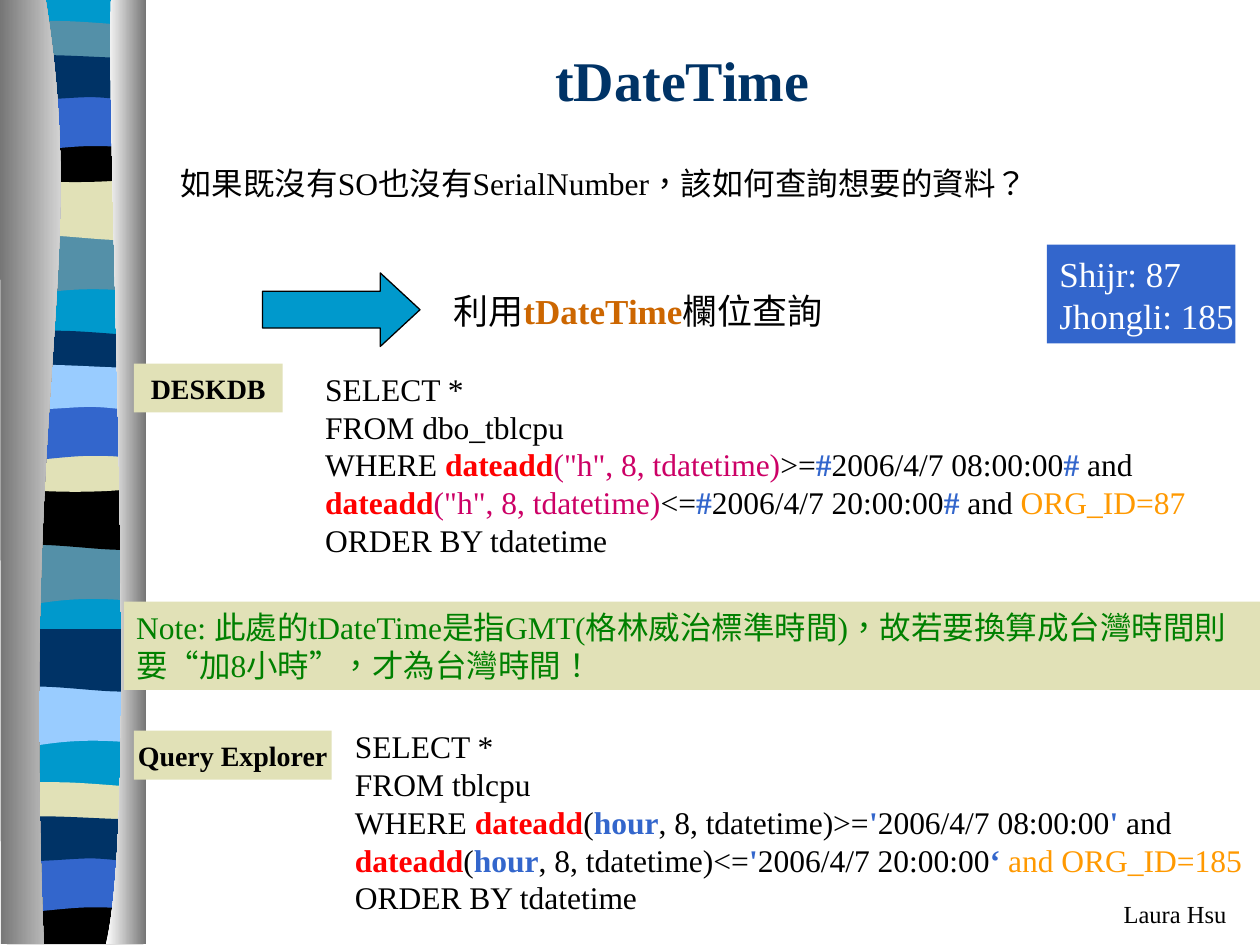
from typing import NamedTuple, Sequence

from lxml.etree import SubElement
from pptx import Presentation
from pptx.dml.color import RGBColor
from pptx.enum.lang import MSO_LANGUAGE_ID as Language
from pptx.enum.shapes import MSO_SHAPE as Preset
from pptx.enum.text import MSO_ANCHOR as Anchor, PP_ALIGN as Align
from pptx.oxml.ns import qn
from pptx.util import Pt

FONT = "Times New Roman"
BLACK = RGBColor(0x00, 0x00, 0x00)
WHITE = RGBColor(0xFF, 0xFF, 0xFF)
GREY = RGBColor(0x76, 0x76, 0x76)
CYAN = RGBColor(0x00, 0x99, 0xCC)
TEAL = RGBColor(0x54, 0x90, 0xA8)
NAVY = RGBColor(0x00, 0x33, 0x66)
BLUE = RGBColor(0x33, 0x66, 0xCC)
SKY = RGBColor(0x99, 0xCC, 0xFF)
SAND = RGBColor(0xE1, 0xE1, 0xB7)
RED = RGBColor(0xFF, 0x00, 0x00)
PINK = RGBColor(0xCC, 0x00, 0x66)
ORANGE = RGBColor(0xFF, 0x99, 0x00)
BROWN = RGBColor(0xCC, 0x66, 0x00)
GREEN = RGBColor(0x00, 0x80, 0x00)

SLIDE_WIDTH, SLIDE_HEIGHT = 720, 540
RIBBON_LEFT = 4

# An outline is a list of steps: (x, y) is a corner, six numbers are a cubic curve.
Outline = Sequence[tuple[float, ...]]


class Band(NamedTuple):
    """A ribbon stripe: an outline moved down by a drop."""
    colour: RGBColor
    outline: Outline
    drop: float = 0


class Run(NamedTuple):
    text: str
    colour: RGBColor = BLACK
    bold: bool = False


class Box(NamedTuple):
    left: float
    top: float
    width: float
    height: float
    size: float
    lines: Sequence[Sequence[Run]]
    fill: RGBColor | None = None
    align: Align = Align.LEFT
    anchor: Anchor = Anchor.TOP
    wrap: bool = True


RIBBON = [(78, -0.5), (78, 538), (0, 538), (0, -0.5)]
ROLL = [(78, 133), (78, 167), (24, 161, 13, 173, 0, 167), (0, 133)]
SWAY = [(78, 101.5), (78, 135.5), (65, 141, 24, 131, 0, 135.5), (0, 101.5)]
DIP = [(78, 15), (78, 32.5), (65, 35.5, 13, 35.5, 0, 32.5), (0, 15),
       (4.5, 11.5, 16.5, 12, 29.5, 12), (42.5, 12, 68, 14.5, 78, 15)]
BELLY = [(78, 78), (78, 101), (65, 105, 13, 105, 0, 101), (0, 78),
         (47.5, 81.5, 61, 78, 78, 78)]
ARCH = [(78, 53), (78, 87), (66, 83.5, 61, 83.5, 47.5, 83.5),
        (34.5, 83.5, 11.5, 87, 0, 87), (0, 53)]
RIPPLE = [(78, 33), (78, 55.5), (73, 59, 61, 55.5, 47.5, 55.5),
          (34.5, 55.5, 8, 59, 0, 55.5), (0, 33),
          (11, 29.5, 52.5, 33, 65.5, 33), (79, 33, 75, 33, 78, 33)]
FOOT = [(78, 78), (78, 104.5), (0, 104.5), (0, 78), (47.5, 81.5, 61, 78, 78, 78)]

CYCLE = (ROLL, SWAY, DIP, BELLY, ARCH, RIPPLE)
SECOND, THIRD, LAST = 177, 258, 435
BANDS = [Band(CYAN, RIBBON)]
BANDS += map(Band, (TEAL, SAND, TEAL, BLACK, BLUE, NAVY), CYCLE)
BANDS += [Band(colour, outline, SECOND) for colour, outline
          in zip((TEAL, BLACK, NAVY, SAND, BLUE, SKY), CYCLE)]
BANDS += [Band(SKY, ROLL, THIRD), Band(NAVY, SWAY, THIRD), Band(SAND, DIP, LAST),
          Band(BLACK, FOOT, LAST), Band(BLUE, ARCH, LAST), Band(NAVY, RIPPLE, LAST)]

LEFT_RAIL = [(26, -0.5), (51, 155.5, 12, 213, 25, 539.5), (0.5, 539.5), (0, -0.5)]
RIGHT_RAIL = [(63.5, -0.5), (60.5, 90, 80, 465, 60.5, 539.5), (83.5, 539.5), (83.5, 0)]


def add_outline(slide, outline: Outline, dx: float = 0, dy: float = 0):
    """Draw a closed borderless outline, to be filled by the caller."""
    points = [(Pt(step[i] + dx), Pt(step[i + 1] + dy))
              for step in outline for i in range(0, len(step), 2)]
    builder = slide.shapes.build_freeform(*points[0])
    builder.add_line_segments(points[1:], close=True)
    shape = builder.convert_to_shape()
    shape.shadow.inherit = False
    shape.line.fill.background()

    # Join the three points of each curve step into one cubic segment.
    segments = iter(shape.element.findall(".//" + qn("a:lnTo")))
    for step in outline[1:]:
        first = next(segments)
        if len(step) == 6:
            curve = first.makeelement(qn("a:cubicBezTo"))
            first.addprevious(curve)
            for segment in (first, next(segments), next(segments)):
                SubElement(curve, qn("a:pt"), dict(segment[0].attrib))
                segment.getparent().remove(segment)
    return shape


def add_band(slide, band: Band) -> None:
    stripe = add_outline(slide, band.outline, RIBBON_LEFT, band.drop)
    stripe.fill.solid()
    stripe.fill.fore_color.rgb = band.colour


def add_rail(slide, outline: Outline, colours: tuple[RGBColor, RGBColor]) -> None:
    """Draw a side rail, shaded from left to right."""
    rail = add_outline(slide, outline)
    rail.fill.gradient()
    rail.fill.gradient_angle = 0
    for stop, colour in zip(rail.fill.gradient_stops, colours):
        stop.color.rgb = colour


def add_box(slide, box: Box) -> None:
    place = [Pt(v) for v in box[:4]]
    if box.fill is None:
        shape = slide.shapes.add_textbox(*place)
    else:
        shape = slide.shapes.add_shape(Preset.RECTANGLE, *place)
        shape.shadow.inherit = False
        shape.fill.solid()
        shape.fill.fore_color.rgb = box.fill
        shape.line.fill.background()
    frame = shape.text_frame
    frame.word_wrap = box.wrap
    frame.vertical_anchor = box.anchor
    for i, line in enumerate(box.lines):
        paragraph = frame.add_paragraph() if i else frame.paragraphs[0]
        paragraph.alignment = box.align
        paragraph.font.name = FONT
        paragraph.font.size = Pt(box.size)
        for text, colour, bold in line:
            run = paragraph.add_run()
            run.text = text
            run.font.color.rgb = colour
            run.font.bold = bold
            if not text.isascii():
                run.font.language_id = Language.TRADITIONAL_CHINESE


def label(top: float, width: float, text: str) -> Box:
    return Box(76.5, top, width, 28, 16, [[Run(text, bold=True)]], SAND,
               Align.CENTER, Anchor.MIDDLE, wrap=False)


DATEADD = Run("dateadd", RED, True)
HASH = Run("#", BLUE, True)
QUOTE = Run("'", BLUE, True)
HOUR = Run("hour", BLUE, True)
SHIFT = Run('("h", 8, tdatetime)', PINK)
START, END = Run("2006/4/7 08:00:00"), Run("2006/4/7 20:00:00")
SELECT, ORDER = [Run("SELECT *")], [Run("ORDER BY tdatetime")]

DESKTOP_QUERY = [
    SELECT, [Run("FROM dbo_tblcpu")],
    [Run("WHERE "), DATEADD, SHIFT, Run(">="), HASH, START, HASH, Run(" and "),
     DATEADD, SHIFT, Run("<="), HASH, END, Run("# ", BLUE, True), Run("and "),
     Run("ORG_ID=87", ORANGE)],
    ORDER]
SERVER_QUERY = [
    SELECT, [Run("FROM tblcpu")],
    [Run("WHERE "), DATEADD, Run("("), HOUR, Run(", 8, tdatetime)>="), QUOTE, START,
     QUOTE, Run(" and "), DATEADD, Run("("), HOUR, Run(", 8, tdatetime)<="), QUOTE,
     END, Run("‘ ", BLUE, True), Run("and ORG_ID=185", ORANGE)],
    ORDER]
NOTE = ("Note: 此處的tDateTime是指GMT(格林威治標準時間)，故若要換算成台灣時間"
        "則要“加8小時”，才為台灣時間！")
QUESTION = "如果既沒有SO也沒有SerialNumber，該如何查詢想要的資料？"

BOXES = (
    Box(540, 510, 168, 24, 14, [[Run("Laura Hsu")]], align=Align.RIGHT),
    Box(96, 90, 588, 29, 18, [[Run(QUESTION)]]),
    Box(252, 162, 354, 31.5, 20,
        [[Run("利用"), Run("tDateTime", BROWN, True), Run("欄位查詢")]]),
    Box(178.75, 207.75, 515.5, 115, 18, DESKTOP_QUERY),
    Box(70.75, 343.75, 649.25, 50.5, 18, [[Run(NOTE, GREEN)]], SAND),
    Box(195.75, 412, 524.25, 115, 18, SERVER_QUERY),
    label(207.75, 85, "DESKDB"),
    label(417.5, 113, "Query Explorer"),
    Box(598.25, 139.75, 107.75, 56.5, 20,
        [[Run("Shijr: 87", WHITE)], [Run("Jhongli: 185", WHITE)]],
        BLUE, anchor=Anchor.MIDDLE, wrap=False),
)


def main() -> None:
    deck = Presentation()
    deck.slide_width, deck.slide_height = Pt(SLIDE_WIDTH), Pt(SLIDE_HEIGHT)
    slide = deck.slides.add_slide(deck.slide_layouts[5])

    for band in BANDS:
        add_band(slide, band)
    add_rail(slide, LEFT_RAIL, (GREY, WHITE))
    add_rail(slide, RIGHT_RAIL, (WHITE, GREY))

    title = slide.shapes.title
    title.left, title.top, title.width, title.height = Pt(84), Pt(18), Pt(612), Pt(54)
    title.text_frame.text = "tDateTime"
    title.text_frame.vertical_anchor = Anchor.MIDDLE
    heading = title.text_frame.paragraphs[0]
    heading.alignment = Align.CENTER
    heading.font.name, heading.font.size, heading.font.bold = FONT, Pt(32), True
    heading.font.color.rgb = NAVY

    arrow = slide.shapes.add_shape(Preset.RIGHT_ARROW, Pt(150), Pt(156), Pt(90), Pt(42))
    arrow.adjustments[1] = 0.54
    arrow.shadow.inherit = False
    arrow.fill.solid()
    arrow.fill.fore_color.rgb = CYAN
    arrow.line.color.rgb = BLACK
    arrow.line.width = Pt(0.75)

    for box in BOXES:
        add_box(slide, box)
    deck.save("out.pptx")


if __name__ == "__main__":
    main()
